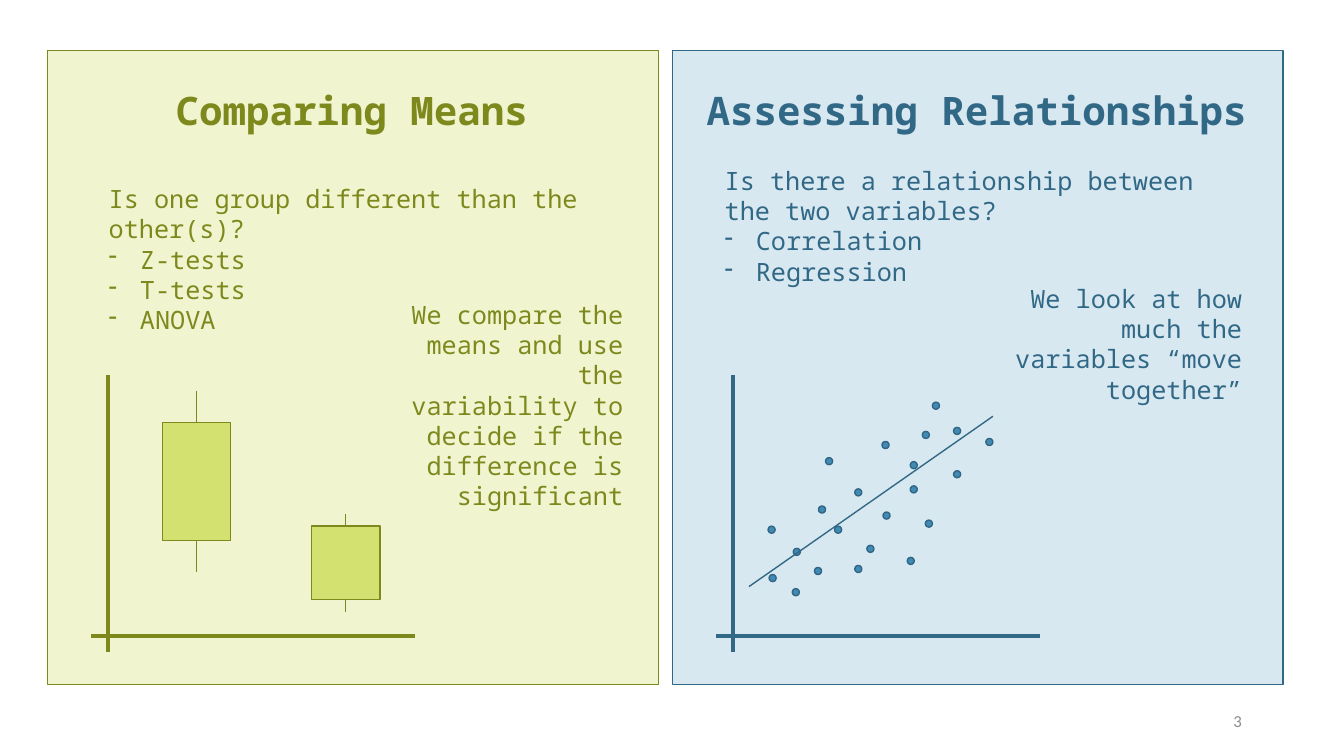
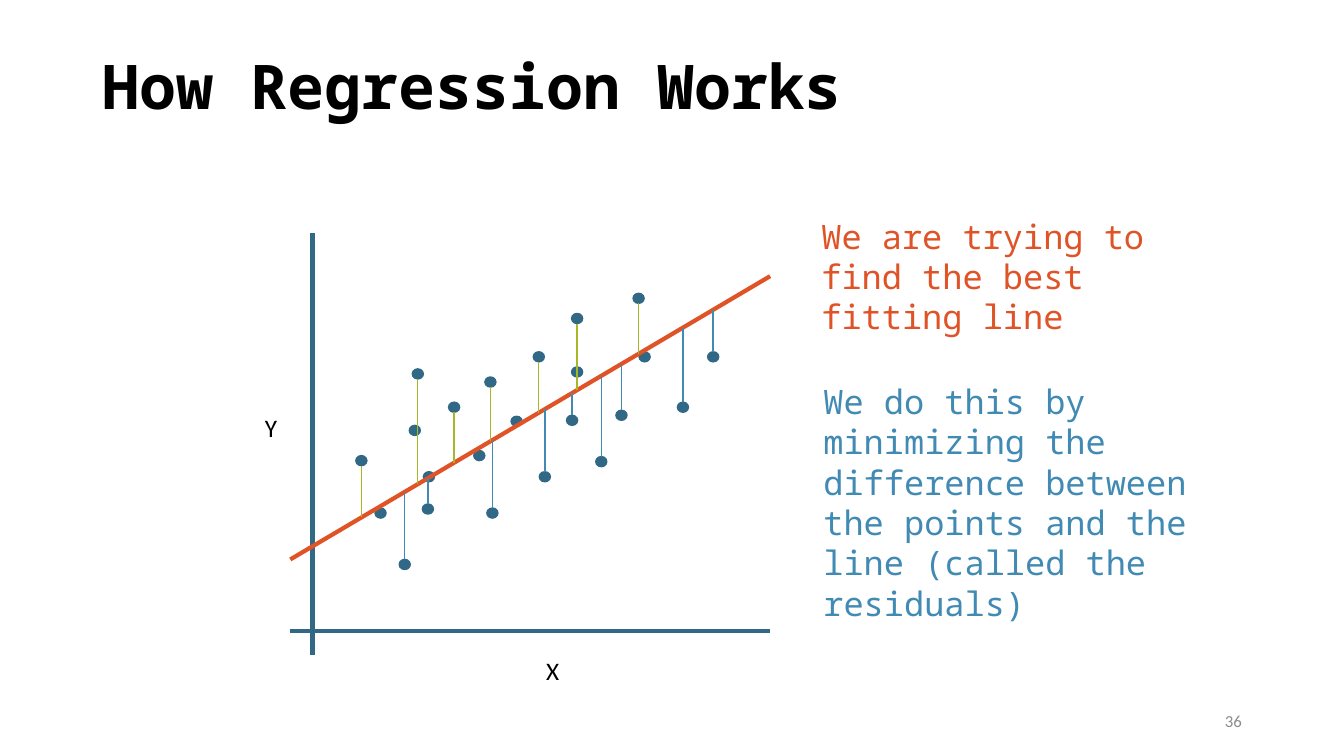
from lxml import etree
from pptx import Presentation, util as u
from pptx.dml.color import RGBColor
from pptx.enum import shapes, text
from pptx.oxml import ns

COLUMNS, ROWS = 133.33, 75  # ten grid cells per inch
MONO, SANS = "Noto Sans Mono", "Calibri"
GREEN, GREEN_PALE, GREEN_FILL, GREEN_LINE = "7D891D", "F0F5D0", "D3E171", "A6B727"
BLUE, BLUE_PALE, BLUE_FILL, DOT_EDGE = "316886", "D8E8F1", "418AB3", "306684"
ORANGE, BLACK, GRAY = "DF5327", "000000", "8C8C8C"
LEFT, CENTER, RIGHT = text.PP_ALIGN.LEFT, text.PP_ALIGN.CENTER, text.PP_ALIGN.RIGHT
TOP, MIDDLE = text.MSO_ANCHOR.TOP, text.MSO_ANCHOR.MIDDLE
RECTANGLE, OVAL = shapes.MSO_SHAPE.RECTANGLE, shapes.MSO_SHAPE.OVAL


def rgb(color):
    return RGBColor.from_string(color)


def add_bullet(paragraph, mark="-", indent=0.31):
    properties = paragraph._p.get_or_add_pPr()
    properties.set("marL", str(u.Inches(indent)))
    properties.set("indent", str(-u.Inches(indent)))
    etree.SubElement(properties, ns.qn("a:buChar")).set("char", mark)


def write(paragraph, words, size=18, color=BLACK, font=MONO, bold=False,
          align=LEFT, spacing=None, bullet=False):
    """Put one formatted run into a paragraph."""
    if bullet:
        add_bullet(paragraph)
    paragraph.alignment = align
    if spacing:
        paragraph.line_spacing = spacing
    run = paragraph.add_run()
    run.text = words
    run.font.size, run.font.name, run.font.bold = u.Pt(size), font, bold
    run.font.color.rgb = rgb(color)


class Deck:
    """The shared style and the slide being drawn."""

    def __init__(self):
        self.presentation = Presentation()
        self.presentation.slide_width = u.Inches(13.33)
        self.presentation.slide_height = u.Inches(7.5)
        self.slide = None

    def x(self, columns):
        return round(self.presentation.slide_width * columns / COLUMNS)

    def y(self, rows):
        return round(self.presentation.slide_height * rows / ROWS)

    def place(self, left, top, width, height):
        return self.x(left), self.y(top), self.x(width), self.y(height)

    def new_slide(self, number):
        layout = self.presentation.slide_layouts[6]
        self.slide = self.presentation.slides.add_slide(layout)
        self.text((94.2, 69.5, 30, 4), number, anchor=MIDDLE, size=12,
                  font=SANS, color=GRAY, align=RIGHT)

    def text(self, box, words, bullets=(), anchor=TOP, wrap=True, **style):
        frame = self.slide.shapes.add_textbox(*self.place(*box)).text_frame
        frame.word_wrap, frame.vertical_anchor = wrap, anchor
        if anchor == TOP:
            frame.auto_size = text.MSO_AUTO_SIZE.SHAPE_TO_FIT_TEXT
        write(frame.paragraphs[0], words, **style)
        for item in bullets:
            write(frame.add_paragraph(), item, bullet=True, **style)

    def title(self, words):
        self.text((9.2, 4.3, 115, 9.2), words, anchor=MIDDLE, size=44,
                  bold=True, spacing=0.9)

    def shape(self, kind, box, fill, line):
        shape = self.slide.shapes.add_shape(kind, *self.place(*box))
        shape.shadow.inherit = False
        shape.fill.solid()
        shape.fill.fore_color.rgb = rgb(fill)
        shape.line.color.rgb = rgb(line)
        shape.line.width = u.Pt(1)
        return shape

    def line(self, start, end, color, width=1.0):
        line = self.slide.shapes.add_connector(
            shapes.MSO_CONNECTOR.STRAIGHT, self.x(start[0]), self.y(start[1]),
            self.x(end[0]), self.y(end[1]))
        line.line.color.rgb = rgb(color)
        line.line.width = u.Pt(width)
        etree.SubElement(line._element.spPr, ns.qn("a:effectLst"))
        return line

    def axes(self, origin, left, right, top, bottom, color):
        x, y = origin
        self.line((x, top), (x, bottom), color, 3)
        self.line((right, y), (left, y), color, 3)

    def dots(self, corners, width, height, fill, line):
        for left, top in corners:
            self.shape(OVAL, (left, top, width, height), fill, line)

    def panel(self, left, heading, color, fill):
        self.shape(RECTANGLE, (left, 5, 60.6, 62.9), fill, color)
        self.text((left + 1.8, 8.1, 56.8, 5.7), heading, size=28, bold=True,
                  color=color, align=CENTER)
        self.axes((left + 6.05, 63.1), left + 4.3, left + 36.5, 37.2, 64.7, color)

    def box_plot(self, left, top, width, height, whisker):
        box = self.shape(RECTANGLE, (left, top, width, height), GREEN_FILL, GREEN)
        middle, bottom = left + width / 2, top + height
        upper = self.line((middle, top - whisker), (middle, top), GREEN, 0.5)
        upper.end_connect(box, 0)
        lower = self.line((middle, bottom), (middle, bottom + whisker), GREEN, 0.5)
        lower.begin_connect(box, 2)


def compare_slide(deck):
    deck.new_slide("3")

    # Left panel: box plots
    deck.panel(4.7, "Comparing Means", GREEN, GREEN_PALE)
    deck.box_plot(16.1, 41.9, 6.8, 11.7, whisker=3.15)
    deck.box_plot(30.9, 52.2, 6.8, 7.3, whisker=1.2)
    deck.text((9.8, 17.7, 53.6, 16.2), "Is one group different than the other(s)?",
              ("Z-tests", "T-tests", "ANOVA"), color=GREEN)
    deck.text((39.8, 29.2, 23, 19.2),
              "We compare the means and use the variability to decide if the "
              "difference is significant", color=GREEN, align=RIGHT)

    # Right panel: scatter with trend line
    deck.panel(66.7, "Assessing Relationships", BLUE, BLUE_PALE)
    points = [
        (76.3, 57), (78.6, 58.4), (76.2, 52.2), (78.7, 54.4), (80.8, 56.3),
        (84.8, 56.1), (82.8, 52.2), (81.2, 50.2), (84.8, 48.5), (87.6, 50.8),
        (86, 54.1), (90.3, 48.2), (90.3, 45.8), (91.8, 51.6), (87.5, 43.8),
        (94.6, 46.7), (91.5, 42.8), (94.6, 42.4), (97.8, 43.5), (90, 55.3),
        (81.9, 45.4), (92.5, 39.9)]
    deck.dots(points, 0.7, 0.7, BLUE_FILL, DOT_EDGE)
    deck.line((98.5, 41.3), (74.3, 58.2), BLUE)
    deck.text((70.9, 15.9, 53.6, 13.1),
              "Is there a relationship between the two variables?",
              ("Correlation", "Regression"), color=BLUE)
    deck.text((99.1, 27.6, 25.1, 13.1),
              "We look at how much the variables “move together”",
              color=BLUE, align=RIGHT)


def regression_slide(deck):
    deck.new_slide("36")
    deck.title("How Regression Works")

    # Axes and points
    deck.axes((31, 62.6), 28.8, 76.4, 23.1, 65, BLUE)
    width, height = 1.1, 1
    near_line = [(37.2, 50.4), (40.6, 42.2), (42, 46.8), (47, 44.7),
                 (50.7, 41.3), (56.7, 36.4), (63.4, 34.9)]
    far_points = [
        (40.9, 36.6), (41.9, 50), (44.5, 39.9), (35.3, 45.2), (48.1, 37.4),
        (53.5, 46.8), (52.9, 34.9), (56.2, 41.2), (48.3, 50.4), (39.6, 55.5),
        (56.7, 31.1), (61.1, 40.7), (59.1, 45.3), (62.8, 29.1), (67.2, 39.9),
        (70.2, 34.9)]
    deck.dots(near_line + far_points, width, height, BLUE, BLUE)
    deck.text((25.3, 40.4, 3.2, 4), "Y", wrap=False, font=SANS)
    deck.text((53.2, 64.5, 3.3, 4), "X", wrap=False, font=SANS)

    # Fitted line, and the residual from each far point to it
    start, end = (28.8, 55.5), (76.4, 27.4)
    slope = (end[1] - start[1]) / (end[0] - start[0])
    deck.line(start, end, ORANGE, 3)
    for left, top in far_points:
        x = left + width / 2
        fitted = start[1] + slope * (x - start[0])
        if top < fitted:
            deck.line((x, top + height), (x, fitted), GREEN_LINE)
        else:
            deck.line((x, fitted), (x, top), BLUE_FILL)

    # Explanation
    deck.text((80.5, 20.9, 40.1, 13.1),
              "We are trying to find the best fitting line", size=24, color=ORANGE)
    deck.text((80.7, 37.3, 40.1, 25.2),
              "We do this by minimizing the difference between the points and "
              "the line (called the residuals)", size=24, color=BLUE_FILL)


def main():
    deck = Deck()
    compare_slide(deck)
    regression_slide(deck)
    deck.presentation.save("out.pptx")


if __name__ == "__main__":
    main()
